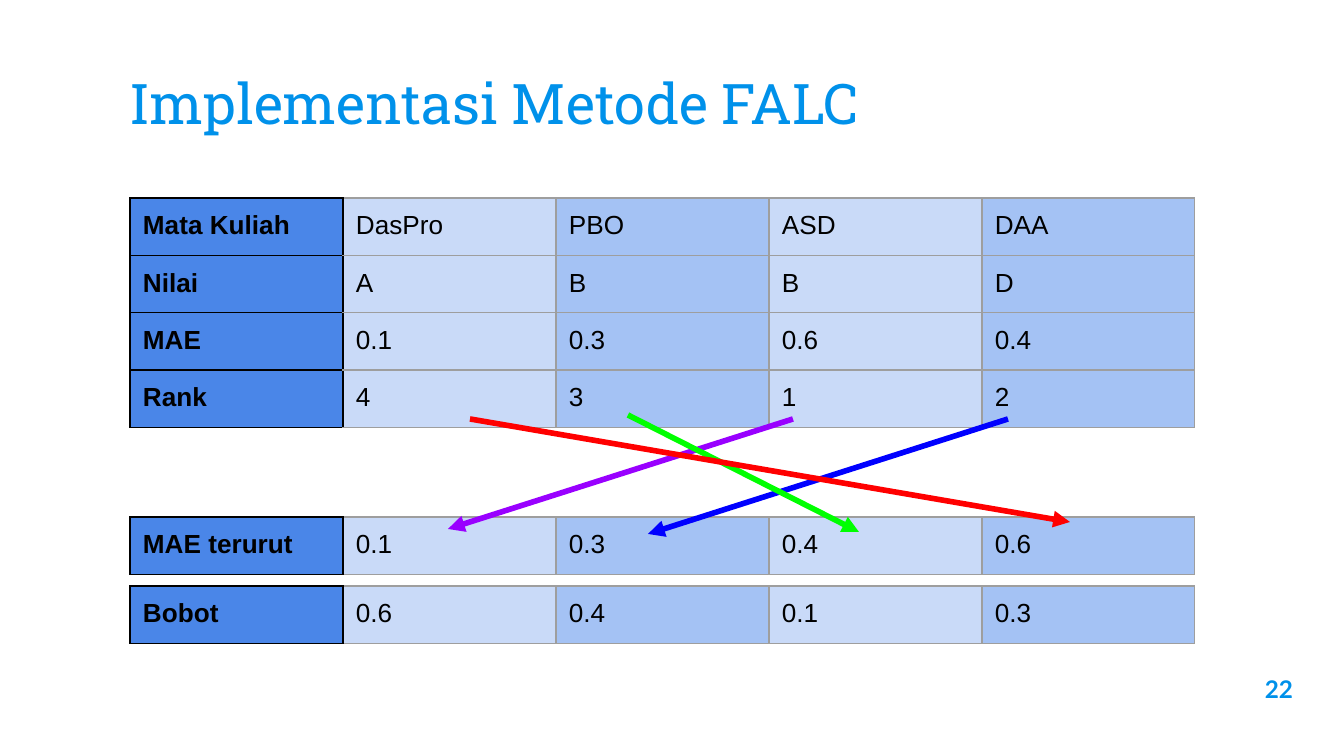
from dataclasses import dataclass

from lxml import etree
from pptx import Presentation
from pptx import util as u
from pptx.dml.color import RGBColor
from pptx.enum import shapes, text
from pptx.oxml import parse_xml
from pptx.oxml.ns import nsdecls, qn


@dataclass(frozen=True)
class Theme:
    accent: str = "0091EA"
    ink: str = "000000"
    grid: str = "9E9E9E"
    header: str = "4A86E8"
    light: str = "C9DAF8"
    mid: str = "A4C2F4"
    purple: str = "9900FF"
    blue: str = "0000FF"
    green: str = "00FF00"
    red: str = "FF0000"
    title_font: str = "Roboto Slab"
    body_font: str = "Arial"
    number_font: str = "Lato"
    title_size: int = 30
    body_size: int = 14
    number_size: int = 13
    border: float = 0.75
    arrow: int = 3


THEME = Theme()
PX_PER_INCH = 134.4
INSET = 13
LEFT, COL_W, ROW_H = 130, 213, 56

COURSES = [
    ["Mata Kuliah", "DasPro", "PBO", "ASD", "DAA"],
    ["Nilai", "A", "B", "B", "D"],
    ["MAE", "0.1", "0.3", "0.6", "0.4"],
    ["Rank", "4", "3", "1", "2"],
]
SORTED_MAE = [["MAE terurut", "0.1", "0.3", "0.4", "0.6"]]
WEIGHTS = [["Bobot", "0.6", "0.4", "0.1", "0.3"]]
TABLES = [(198, COURSES), (517, SORTED_MAE), (586, WEIGHTS)]

ARROWS = [
    ((793, 419), (448, 529), THEME.purple),
    ((1008, 419), (648, 534), THEME.blue),
    ((628, 415), (859, 532), THEME.green),
    ((470, 419), (1070, 522), THEME.red),
]


def px(n):
    return u.Emu(round(n * 914400 / PX_PER_INCH))


def style(p, font, size, color, bold=False):
    p.font.name = font
    p.font.size = u.Pt(size)
    p.font.bold = bold
    p.font.color.rgb = RGBColor.from_string(color)


def set_insets(tf):
    tf.margin_left = tf.margin_right = px(INSET)
    tf.margin_top = tf.margin_bottom = px(INSET)


def place(sp, x, y, w, h):
    sp.left, sp.top, sp.width, sp.height = map(px, (x, y, w, h))


def add_title(s, wording):
    sp = s.shapes.title
    place(sp, 116, 46, 1113, 103)
    tf = sp.text_frame
    set_insets(tf)
    tf.vertical_anchor = text.MSO_ANCHOR.BOTTOM
    tf.text = wording
    p = tf.paragraphs[0]
    p.alignment = text.PP_ALIGN.LEFT
    style(p, THEME.title_font, THEME.title_size, THEME.accent)


def add_page_number(s, number):
    tf = s.shapes.add_textbox(px(1226), px(661), px(80), px(58)).text_frame
    set_insets(tf)
    tf.word_wrap = True
    tf.text = number
    p = tf.paragraphs[0]
    p.alignment = text.PP_ALIGN.RIGHT
    style(p, THEME.number_font, THEME.number_size, THEME.accent, True)


def set_border(cell, side, color):
    cell._tc.get_or_add_tcPr().append(parse_xml(
        f'<a:{side} {nsdecls("a")} w="{u.Pt(THEME.border)}"><a:solidFill>'
        f'<a:srgbClr val="{color}"/></a:solidFill></a:{side}>'))


def format_cell(cell, col, wording):
    is_header = col == 0
    for side in ("lnL", "lnR", "lnT", "lnB"):
        dark = is_header or (col == 1 and side == "lnL")
        set_border(cell, side, THEME.ink if dark else THEME.grid)
    fill = THEME.header if is_header else (THEME.mid, THEME.light)[col % 2]
    cell.fill.solid()
    cell.fill.fore_color.rgb = RGBColor.from_string(fill)
    set_insets(cell)
    cell.text = wording
    style(cell.text_frame.paragraphs[0], THEME.body_font, THEME.body_size,
          THEME.ink, is_header)


def add_grid(s, top, rows):
    n_rows, n_cols = len(rows), len(rows[0])
    table = s.shapes.add_table(n_rows, n_cols, px(LEFT), px(top),
                               px(COL_W * n_cols), px(ROW_H * n_rows)).table
    table.first_row = table.horz_banding = False
    for column in table.columns:
        column.width = px(COL_W)
    for i, row in enumerate(rows):
        table.rows[i].height = px(ROW_H)
        for j, wording in enumerate(row):
            format_cell(table.cell(i, j), j, wording)


def add_arrow(s, start, end, color):
    sp = s.shapes.add_connector(shapes.MSO_CONNECTOR.STRAIGHT,
                                *map(px, start + end))
    sp.line.color.rgb = RGBColor.from_string(color)
    sp.line.width = u.Pt(THEME.arrow)
    etree.SubElement(sp.line._get_or_add_ln(), qn("a:tailEnd"), type="triangle")
    etree.SubElement(sp._element.spPr, qn("a:effectLst"))


def main():
    prs = Presentation()
    prs.slide_width, prs.slide_height = px(1344), px(756)
    s = prs.slides.add_slide(prs.slide_layouts[5])
    add_title(s, "Implementasi Metode FALC")
    add_page_number(s, "22")
    for top, rows in TABLES:
        add_grid(s, top, rows)
    for start, end, color in ARROWS:
        add_arrow(s, start, end, color)
    prs.save("out.pptx")


if __name__ == "__main__":
    main()
